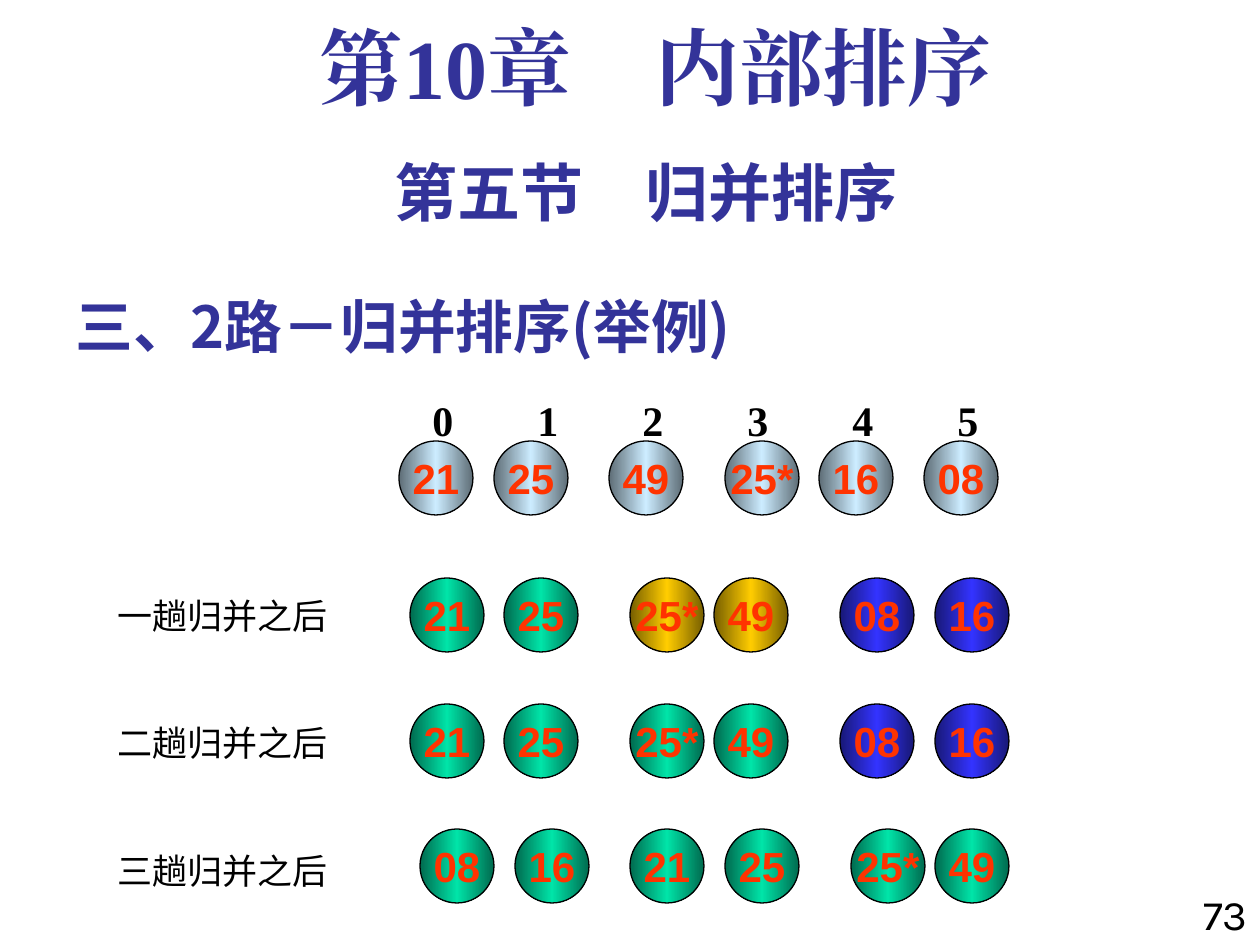
"""Build the two-way merge sort example slide."""
import copy

import pptx
import pptx.dml.color
import pptx.enum.shapes
import pptx.enum.text
import pptx.oxml
import pptx.oxml.ns
import pptx.util

RGBColor = pptx.dml.color.RGBColor
Align = pptx.enum.text.PP_ALIGN
Anchor = pptx.enum.text.MSO_ANCHOR

PIXEL = 914400 / 126
CIRCLE = 74

INDIGO = RGBColor(0x33, 0x33, 0x99)
BLACK = RGBColor(0x00, 0x00, 0x00)
ORANGE_RED = RGBColor(0xFF, 0x33, 0x00)
WHITE = RGBColor(0xFF, 0xFF, 0xFF)
ICE = (RGBColor(0x5E, 0x6D, 0x76), RGBColor(0xCC, 0xEC, 0xFF))
GREEN = (RGBColor(0x00, 0x6A, 0x4E), RGBColor(0x00, 0xE4, 0xA8))
GOLD = (RGBColor(0x76, 0x5E, 0x00), RGBColor(0xFF, 0xCC, 0x00))
BLUE = (RGBColor(0x18, 0x18, 0x76), RGBColor(0x33, 0x33, 0xFF))


def px(length):
    """Turn a length in px into EMU."""
    return pptx.util.Emu(round(length * PIXEL))


def add_run(paragraph, text, font_name, size, color, bold):
    """Append one formatted run, with its font set for Latin and East Asian text."""
    run = paragraph.add_run()
    run.text = text
    run.font.name = font_name
    run.font.size = pptx.util.Pt(size)
    run.font.bold = bold
    run.font.color.rgb = color
    east_asian = pptx.oxml.parse_xml(
        f'<a:ea {pptx.oxml.ns.nsdecls("a")} typeface="{font_name}"/>'
    )
    run.font._element.find(pptx.oxml.ns.qn("a:latin")).addnext(east_asian)


def add_text(slide, box, lines, font_name, size, color=INDIGO, bold=True,
             align=Align.LEFT, anchor=Anchor.TOP, gap=0):
    """Place a text box holding one paragraph per line and return its frame."""
    frame = slide.shapes.add_textbox(*map(px, box)).text_frame
    frame.word_wrap = True
    frame.vertical_anchor = anchor
    for index, line in enumerate(lines):
        paragraph = frame.paragraphs[0] if index == 0 else frame.add_paragraph()
        paragraph.alignment = align
        if index:
            paragraph.space_before = pptx.util.Pt(gap)
        add_run(paragraph, line, font_name, size, color, bold)
    return frame


def fill_cylinder(shape, colors):
    """Fill a shape with a horizontal gradient, dark at both edges."""
    edge, middle = colors
    shape.fill.gradient()
    shape.fill.gradient_angle = 0
    stop_list = shape._element.spPr.find(".//" + pptx.oxml.ns.qn("a:gsLst"))
    stop_list.append(copy.deepcopy(stop_list[-1]))
    for stop, position, color in zip(
        shape.fill.gradient_stops, (0, 0.5, 1), (edge, middle, edge)
    ):
        stop.position = position
        stop.color.rgb = color


def add_circle(slide, left, top, key, colors):
    """Draw one key of the list as a shaded circle."""
    shape = slide.shapes.add_shape(
        pptx.enum.shapes.MSO_SHAPE.OVAL, px(left), px(top), px(CIRCLE), px(CIRCLE)
    )
    shape.shadow.inherit = False
    fill_cylinder(shape, colors)
    shape.line.color.rgb = BLACK
    shape.line.width = pptx.util.Pt(0.75)
    frame = shape.text_frame
    frame.word_wrap = False
    frame.vertical_anchor = Anchor.MIDDLE
    frame.paragraphs[0].alignment = Align.CENTER
    add_run(frame.paragraphs[0], key, "Arial", 24, ORANGE_RED, True)


def add_key_row(slide, left, top, offsets, keys, color_groups):
    """Draw a row of keys at offsets from its left edge."""
    for offset, key, colors in zip(offsets, keys.split(), color_groups):
        add_circle(slide, left + offset, top, key, colors)


def add_index_row(slide, left, top, pitch, count):
    """Write the list indices on evenly spaced tab stops."""
    indices = "\t".join(str(index) for index in range(count))
    frame = add_text(slide, (left, top, 614, 63), [indices],
                     "Times New Roman", 24, BLACK)
    tabs = "".join(
        f'<a:tab pos="{px(pitch * index)}" algn="l"/>' for index in range(1, count)
    )
    properties = frame.paragraphs[0]._p.get_or_add_pPr()
    properties.append(pptx.oxml.parse_xml(
        f'<a:tabLst {pptx.oxml.ns.nsdecls("a")}>{tabs}</a:tabLst>'
    ))


def add_headings(slide, left, top):
    """Place the chapter, section and topic headings."""
    chapter = add_text(slide, (left + 21, top, 1144, 105), ["第10章　内部排序"],
                       "Times New Roman", 48, align=Align.CENTER)
    chapter.paragraphs[0].line_spacing = 0.9
    add_text(slide, (left, top + 126, 1166, 88), ["第五节　归并排序"],
             "Karla", 36, align=Align.CENTER)
    add_text(slide, (left, top + 252, 788, 93), ["三、2路－归并排序(举例)"],
             "Noto Sans CJK SC", 33, anchor=Anchor.BOTTOM)


def add_merge_passes(slide, left, top):
    """Draw the initial list and the list after each merge pass."""
    paired = (11, 105, 231, 315, 441, 536)
    add_index_row(slide, left + 21, top, 105, 6)
    add_key_row(slide, left, top + 53, (0, 95, 210, 326, 420, 525),
                "21 25 49 25* 16 08", [ICE] * 6)
    add_key_row(slide, left, top + 190, paired,
                "21 25 25* 49 08 16", [GREEN] * 2 + [GOLD] * 2 + [BLUE] * 2)
    add_key_row(slide, left, top + 316, paired,
                "21 25 25* 49 08 16", [GREEN] * 4 + [BLUE] * 2)
    add_key_row(slide, left, top + 441, (21, 116, 231, 326, 452, 536),
                "08 16 21 25 25* 49", [GREEN] * 6)
    add_text(slide, (left - 294, top + 200, 262, 310),
             ["一趟归并之后", "二趟归并之后", "三趟归并之后"],
             "Karla", 20, BLACK, bold=False, gap=49)


def main():
    """Build and save the presentation."""
    presentation = pptx.Presentation()
    presentation.slide_width = px(1260)
    presentation.slide_height = px(945)
    slide = presentation.slides.add_slide(presentation.slide_layouts[6])
    slide.background.fill.solid()
    slide.background.fill.fore_color.rgb = WHITE
    add_headings(slide, 63, 21)
    add_merge_passes(slide, 399, 388)
    add_text(slide, (1176, 882, 84, 73), ["73"], "Karla", 24, BLACK,
             bold=False, align=Align.RIGHT)
    presentation.save("out.pptx")


if __name__ == "__main__":
    main()
